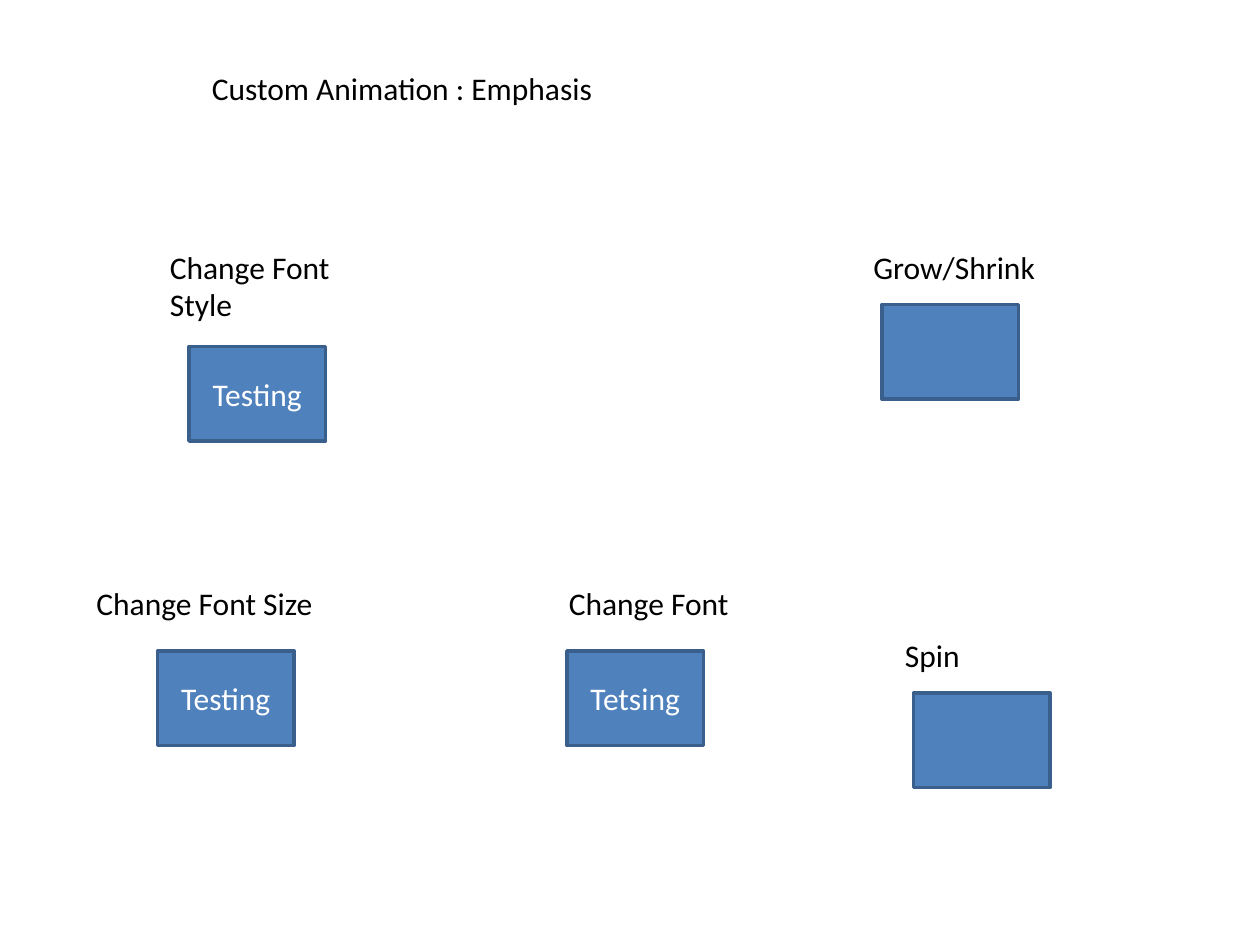
from dataclasses import dataclass

from pptx import Presentation
from pptx.dml.color import RGBColor
from pptx.enum.shapes import MSO_SHAPE
from pptx.enum.text import MSO_ANCHOR, MSO_AUTO_SIZE, PP_ALIGN
from pptx.util import Inches, Pt

RECTANGLE = MSO_SHAPE.RECTANGLE
MIDDLE = MSO_ANCHOR.MIDDLE
GROW = MSO_AUTO_SIZE.SHAPE_TO_FIT_TEXT
LEFT, CENTER = PP_ALIGN.LEFT, PP_ALIGN.CENTER

CELLS_PER_INCH = 12
BOX_SIZE = (13, 9)
LINE_ROWS, TWO_LINE_ROWS = 4.8, 8.5


@dataclass(frozen=True)
class Theme:
    """Colours and type of the slide."""
    font: str = "Calibri"
    size: int = 18
    text: str = "000000"
    box_text: str = "FFFFFF"
    fill: str = "4F81BD"
    line: str = "3A5F8C"
    line_width: int = 2


THEME = Theme()

EFFECT_BOXES = [
    (18, 33, "Testing"),
    (15, 62, "Testing"),
    (54, 62, "Tetsing"),
    (87, 66, ""),
    (84, 29, ""),
]

LABELS = [
    (19, 6, 65, LINE_ROWS, "Custom Animation : Emphasis"),
    (15, 23, 24, TWO_LINE_ROWS, "Change Font Style"),
    (85, 60, 19, LINE_ROWS, "Spin"),
    (53, 55, 19, LINE_ROWS, "Change Font"),
    (8, 55, 27, LINE_ROWS, "Change Font Size"),
    (82, 23, 19, LINE_ROWS, "Grow/Shrink"),
]


def grid(*cells):
    """Convert counts of grid columns or rows to lengths."""
    return [Inches(cell / CELLS_PER_INCH) for cell in cells]


def write(frame, text, color=THEME.text, align=LEFT):
    """Write one formatted paragraph into a text frame."""
    frame.word_wrap = True
    para = frame.paragraphs[0]
    para.alignment = align
    span = para.add_run()
    span.text = text
    span.font.name = THEME.font
    span.font.size = Pt(THEME.size)
    span.font.color.rgb = RGBColor.from_string(color)


def add_effect_box(page, column, row, text):
    """Add a blue rectangle that carries an effect, with optional text."""
    box = page.shapes.add_shape(RECTANGLE, *grid(column, row, *BOX_SIZE))
    box.shadow.inherit = False
    box.fill.solid()
    box.fill.fore_color.rgb = RGBColor.from_string(THEME.fill)
    box.line.color.rgb = RGBColor.from_string(THEME.line)
    box.line.width = Pt(THEME.line_width)
    box.text_frame.vertical_anchor = MIDDLE
    if text:
        write(box.text_frame, text, color=THEME.box_text, align=CENTER)


def add_label(page, column, row, columns, rows, text):
    """Add a plain text label that grows with its text."""
    label = page.shapes.add_textbox(*grid(column, row, columns, rows))
    write(label.text_frame, text)
    label.text_frame.auto_size = GROW


def main():
    """Build the slide and save the deck."""
    deck = Presentation()
    deck.slide_width, deck.slide_height = Inches(10), Inches(7.5)
    page = deck.slides.add_slide(deck.slide_layouts[6])
    for effect_box in EFFECT_BOXES:
        add_effect_box(page, *effect_box)
    for label in LABELS:
        add_label(page, *label)
    deck.save("out.pptx")


if __name__ == "__main__":
    main()
